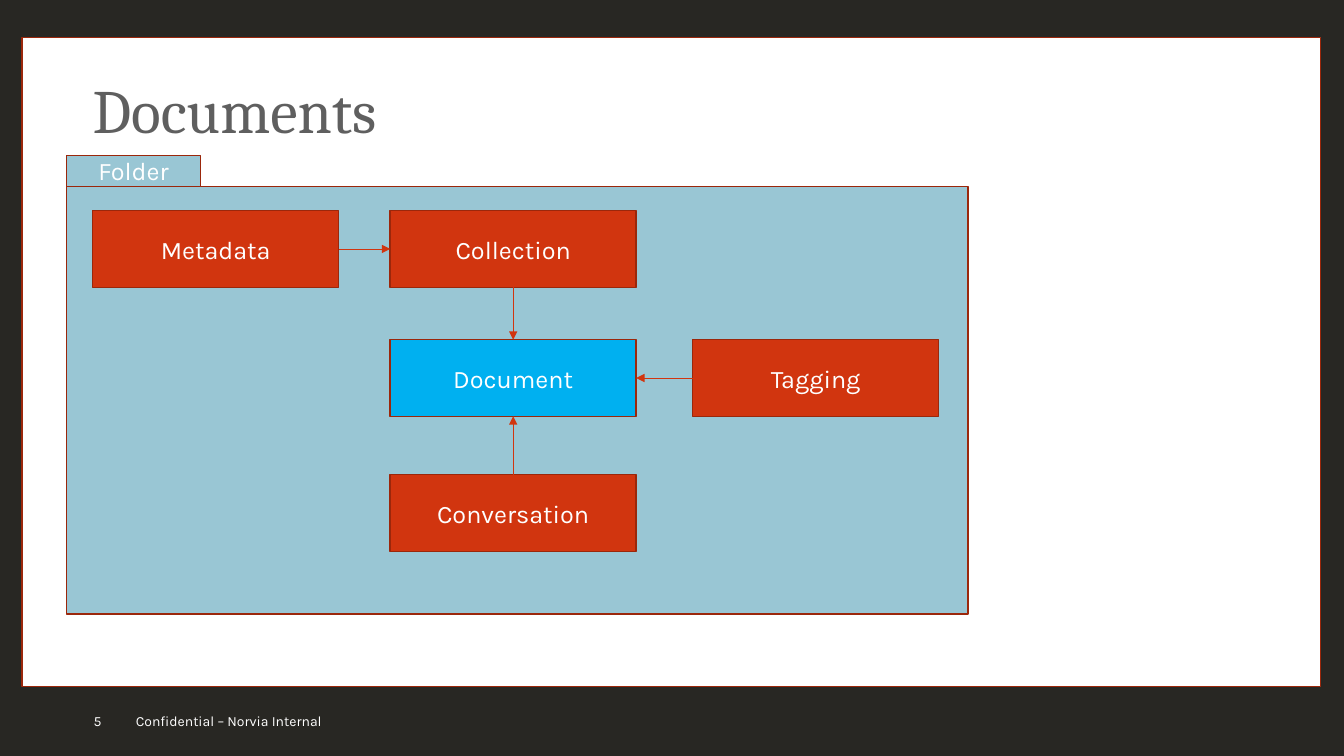
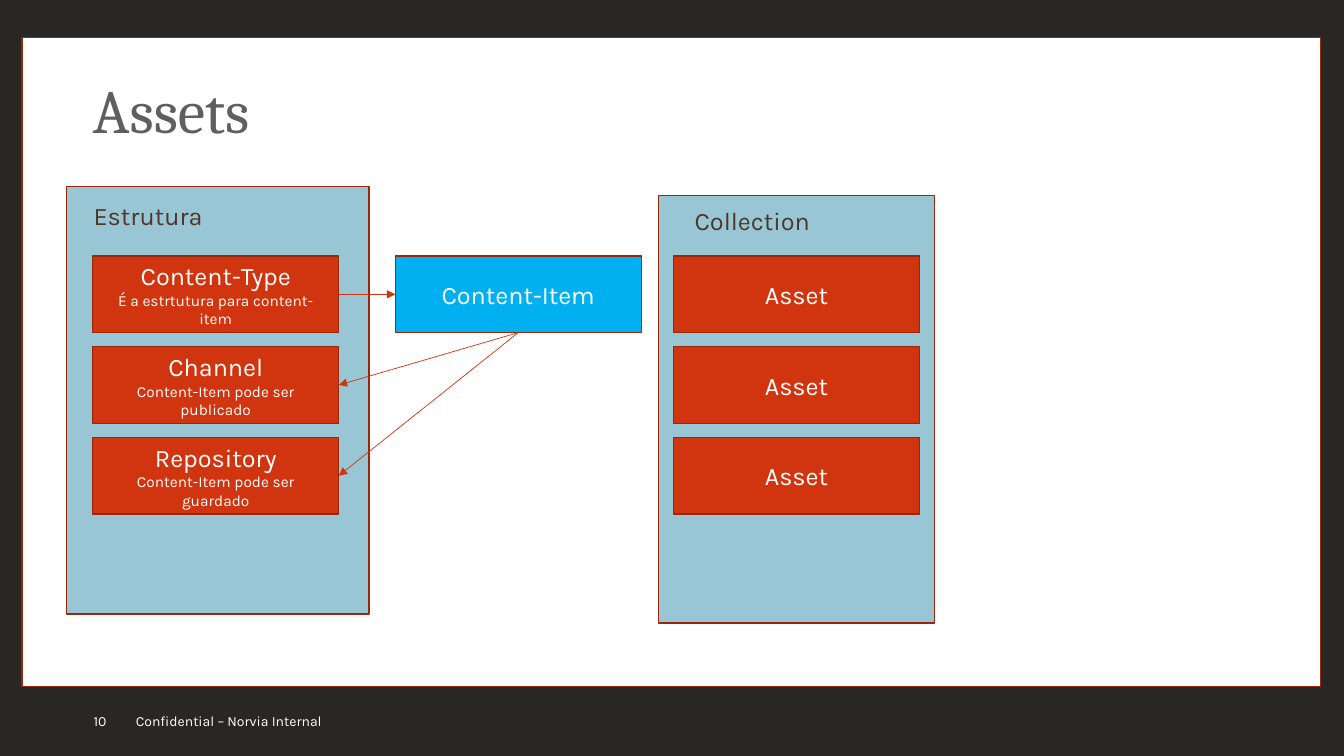
from collections import namedtuple
from lxml.etree import SubElement
from pptx import Presentation
from pptx.dml.color import RGBColor
from pptx.enum.shapes import MSO_CONNECTOR, MSO_SHAPE
from pptx.enum.text import MSO_ANCHOR, PP_ALIGN
from pptx.oxml.ns import qn
from pptx.util import Emu, Pt

Box = namedtuple("Box", "left top width height")

PX = 9144
DARK, PAPER, GRAY, BROWN = "282723", "FFFFFF", "5F5F5F", "4E3629"
RED, RED_EDGE, SKY, PALE_BLUE = "D1350F", "9B270B", "00B0F0", "99C6D4"
HEADING_FONT, BODY_FONT = "Cambria", "Karla"
NODE_WIDTH, NODE_HEIGHT = 244, 76
TOP, LEFT, BOTTOM, RIGHT = range(4)
FOOTER = "Confidential – Norvia Internal"


def color(value):
    return RGBColor.from_string(value)


def emu(*lengths):
    return [Emu(length * PX) for length in lengths]


def style(paragraph, size, ink, font=BODY_FONT):
    paragraph.font.size = Pt(size)
    paragraph.font.name = font
    paragraph.font.color.rgb = color(ink)


def add_text(slide, box, text, size, ink, font=BODY_FONT, anchor=MSO_ANCHOR.MIDDLE):
    frame = slide.shapes.add_textbox(*emu(*box)).text_frame
    frame.word_wrap = True
    frame.vertical_anchor = anchor
    frame.text = text
    style(frame.paragraphs[0], size, ink, font)
    return frame


def add_block(slide, box, fill, text="", detail=""):
    block = slide.shapes.add_shape(MSO_SHAPE.RECTANGLE, *emu(*box))
    block.shadow.inherit = False
    block.fill.solid()
    block.fill.fore_color.rgb = color(fill)
    block.line.color.rgb = color(RED_EDGE)
    block.line.width = Pt(1)
    frame = block.text_frame
    frame.word_wrap = True
    frame.vertical_anchor = MSO_ANCHOR.MIDDLE
    frame.text = "\n".join(filter(None, (text, detail)))
    if text:
        for paragraph, size in zip(frame.paragraphs, (18, 11)):
            paragraph.alignment = PP_ALIGN.CENTER
            style(paragraph, size, PAPER)
    return block


def add_node(slide, area, dx, dy, text, detail="", fill=RED):
    box = Box(area.left + dx, area.top + dy, NODE_WIDTH, NODE_HEIGHT)
    return add_block(slide, box, fill, text, detail)


def add_arrow(slide, source, source_side, target, target_side):
    arrow = slide.shapes.add_connector(MSO_CONNECTOR.STRAIGHT, 0, 0, 0, 0)
    arrow.begin_connect(source, source_side)
    arrow.end_connect(target, target_side)
    arrow.line.color.rgb = color(RED)
    arrow.line.width = Pt(0.5)
    SubElement(arrow.line._get_or_add_ln(), qn("a:tailEnd"), type="triangle")
    SubElement(arrow._element.spPr, qn("a:effectLst"))


def add_frame(deck, title, number):
    slide = deck.slides.add_slide(deck.slide_layouts[6])
    slide.background.fill.solid()
    slide.background.fill.fore_color.rgb = color(DARK)
    add_block(slide, Box(22, 37, 1288, 644), PAPER)
    add_text(slide, Box(125, 695, 450, 40), FOOTER, 10, PAPER)
    add_text(slide, Box(83, 695, 42, 40), str(number), 10, PAPER)
    heading = add_text(slide, Box(92, 40, 1150, 145), title, 44, GRAY, HEADING_FONT)
    heading.margin_left = heading.margin_right = 0
    heading.paragraphs[0].line_spacing = 0.9
    return slide


def add_folder(slide, area):
    add_block(slide, area, PALE_BLUE)
    add_block(slide, Box(area.left, area.top - 31, 133, 31), PALE_BLUE, "Folder")
    left, center, right = 26, 321, 621
    upper, middle, lower = 24, 152, 286
    metadata = add_node(slide, area, left, upper, "Metadata")
    collection = add_node(slide, area, center, upper, "Collection")
    document = add_node(slide, area, center, middle, "Document", fill=SKY)
    conversation = add_node(slide, area, center, lower, "Conversation")
    tagging = add_node(slide, area, right, middle, "Tagging")
    add_arrow(slide, metadata, RIGHT, collection, LEFT)
    add_arrow(slide, collection, BOTTOM, document, TOP)
    add_arrow(slide, conversation, TOP, document, BOTTOM)
    add_arrow(slide, tagging, LEFT, document, RIGHT)


def add_stack(slide, area, label, label_offset, first_offset, entries):
    add_block(slide, area, PALE_BLUE)
    label_dx, label_dy = label_offset
    label_box = Box(area.left + label_dx, area.top + label_dy, 248, 40)
    add_text(slide, label_box, label, 18, BROWN, anchor=MSO_ANCHOR.TOP)
    dx, dy = first_offset
    return [
        add_node(slide, area, dx, dy + 90 * row, *entry)
        for row, entry in enumerate(entries)
    ]


def build_documents(deck):
    slide = add_frame(deck, "Documents", 5)
    add_folder(slide, Box(66, 185, 894, 424))


def build_assets(deck):
    slide = add_frame(deck, "Assets", 10)
    structure = Box(66, 185, 300, 424)
    content_type, channel, repository = add_stack(
        slide, structure, "Estrutura", (17, 9), (26, 69),
        [
            ("Content-Type", "É a estrtutura para content-item"),
            ("Channel", "Content-Item pode ser publicado"),
            ("Repository", "Content-Item pode ser guardado"),
        ],
    )
    content_item = add_node(slide, structure, 326, 69, "Content-Item", fill=SKY)
    add_arrow(slide, content_type, RIGHT, content_item, LEFT)
    for target in (channel, repository):
        add_arrow(slide, content_item, BOTTOM, target, RIGHT)
    add_stack(
        slide, Box(653, 194, 274, 424), "Collection", (26, 5), (15, 60),
        [("Asset",)] * 3,
    )


def main():
    deck = Presentation()
    deck.slide_width, deck.slide_height = emu(1333, 750)
    build_documents(deck)
    build_assets(deck)
    deck.save("out.pptx")


if __name__ == "__main__":
    main()
